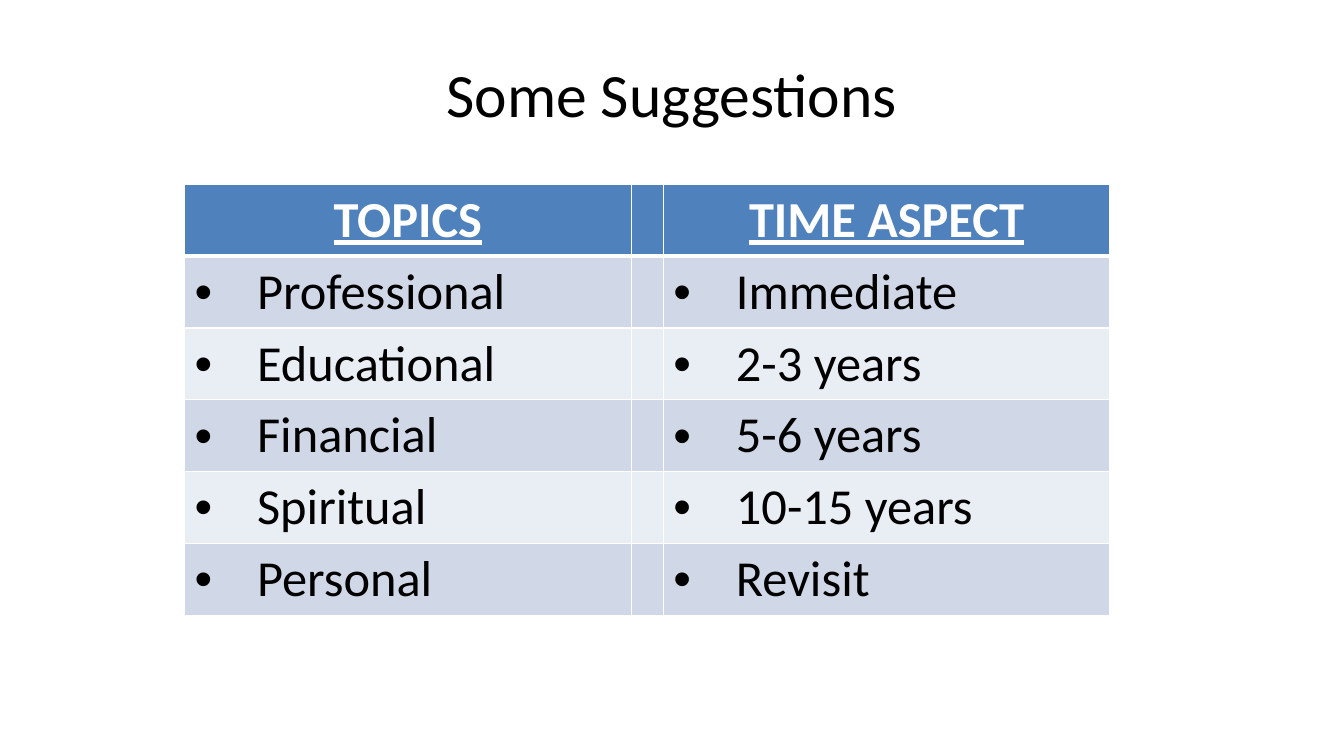
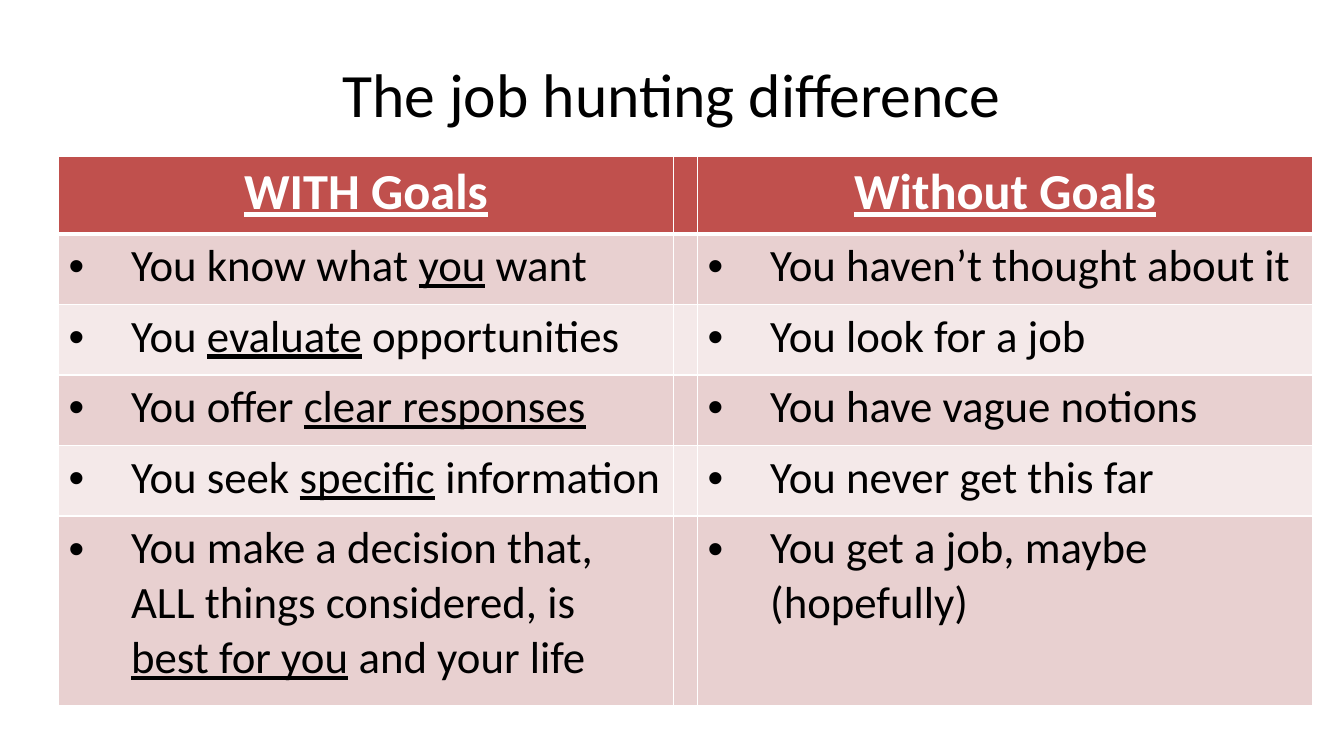
"""Build two slides that each compare topics in a banded table."""
from lxml import etree
from pptx import Presentation
from pptx.dml.color import RGBColor as RGB
from pptx.enum.text import MSO_ANCHOR as Anchor, PP_ALIGN as Align
from pptx.oxml.ns import qn
from pptx.util import Inches as In, Pt

FONT, BLACK, WHITE = "Calibri", "000000", "FFFFFF"
WIDE, HIGH = 13.33, 7.5
INDENT = 0.62

SLIDES = [
    dict(
        title="Some Suggestions",
        at=(1.83, 1.83),
        cols=(4.43, 0.32, 4.43),
        heights=[0.71] * 6,
        size=36,
        fills=("4F81BD", "D0D8E8", "E9EDF4"),
        rows=[
            ("TOPICS", "TIME ASPECT"),
            ("Professional", "Immediate"),
            ("Educational", "2-3 years"),
            ("Financial", "5-6 years"),
            ("Spiritual", "10-15 years"),
            ("Personal", "Revisit"),
        ],
    ),
    dict(
        title="The job hunting difference",
        at=(0.58, 1.55),
        cols=(6.1, 0.23, 6.1),
        heights=[0.77] + [0.7] * 4 + [1.88],
        size=32,
        fills=("C0504D", "E8D0D0", "F4E9E9"),
        rows=[
            ("WITH Goals", "Without Goals"),
            ("You know what _you_ want", "You haven’t thought about it"),
            ("You _evaluate_ opportunities", "You look for a job"),
            ("You offer _clear responses_", "You have vague notions"),
            ("You seek _specific_ information", "You never get this far"),
            ("You make a decision that, ALL things considered, is "
             "_best for you_ and your life", "You get a job, maybe (hopefully)"),
        ],
    ),
]


def hue(code):
    return RGB.from_string(code)


def write(frame, text, size, color=BLACK, bold=False, align=Align.LEFT, bullet=False):
    """Fill a frame with one paragraph, underlining the parts between underscores."""
    para = frame.paragraphs[0]
    para.alignment = align
    if bullet:
        props = para._p.get_or_add_pPr()
        props.set("marL", str(In(INDENT)))
        props.set("indent", str(-In(INDENT)))
        etree.SubElement(props, qn("a:buFont")).set("typeface", "Arial")
        etree.SubElement(props, qn("a:buChar")).set("char", "•")
    for i, part in enumerate(text.split("_")):
        if part:
            run = para.add_run()
            run.text = part
            font = run.font
            font.name, font.size, font.bold = FONT, Pt(size), bold
            font.underline = i % 2 == 1
            font.color.rgb = hue(color)


def edge(cell, top, bottom):
    """Draw white cell borders, with the given top and bottom widths in points."""
    props = cell._tc.get_or_add_tcPr()
    for i, (side, width) in enumerate(zip("LRTB", (1, 1, top, bottom))):
        line = etree.Element(qn(f"a:ln{side}"), w=str(Pt(width)))
        fill = etree.SubElement(line, qn("a:solidFill"))
        etree.SubElement(fill, qn("a:srgbClr")).set("val", WHITE)
        props.insert(i, line)


def add_title(slide, text):
    title = slide.shapes.title
    title.left, title.top = In(WIDE * 0.05), In(HIGH * 0.04)
    title.width, title.height = In(WIDE * 0.9), In(HIGH / 6)
    title.text_frame.vertical_anchor = Anchor.MIDDLE
    write(title.text_frame, text, 44, align=Align.CENTER)


def add_grid(slide, data):
    rows, cols, heights = data["rows"], data["cols"], data["heights"]
    box = (*data["at"], sum(cols), sum(heights))
    grid = slide.shapes.add_table(len(rows), len(cols), *map(In, box)).table
    grid.horz_banding = False
    for col, width in zip(grid.columns, cols):
        col.width = In(width)
    head, odd, even = data["fills"]
    for r, (left, right) in enumerate(rows):
        grid.rows[r].height = In(heights[r])
        for c, text in enumerate((left, "", right)):
            cell = grid.cell(r, c)
            cell.fill.solid()
            cell.fill.fore_color.rgb = hue(head if r == 0 else odd if r % 2 else even)
            edge(cell, 3 if r == 1 else 1, 3 if r == 0 else 1)
            if text and r == 0:
                write(cell.text_frame, f"_{text}_", 36, WHITE, True, Align.CENTER)
            elif text:
                write(cell.text_frame, text, data["size"], bullet=True)


def main():
    deck = Presentation()
    deck.slide_width, deck.slide_height = In(WIDE), In(HIGH)
    for data in SLIDES:
        slide = deck.slides.add_slide(deck.slide_layouts[5])
        add_title(slide, data["title"])
        add_grid(slide, data)
    deck.save("out.pptx")


if __name__ == "__main__":
    main()
